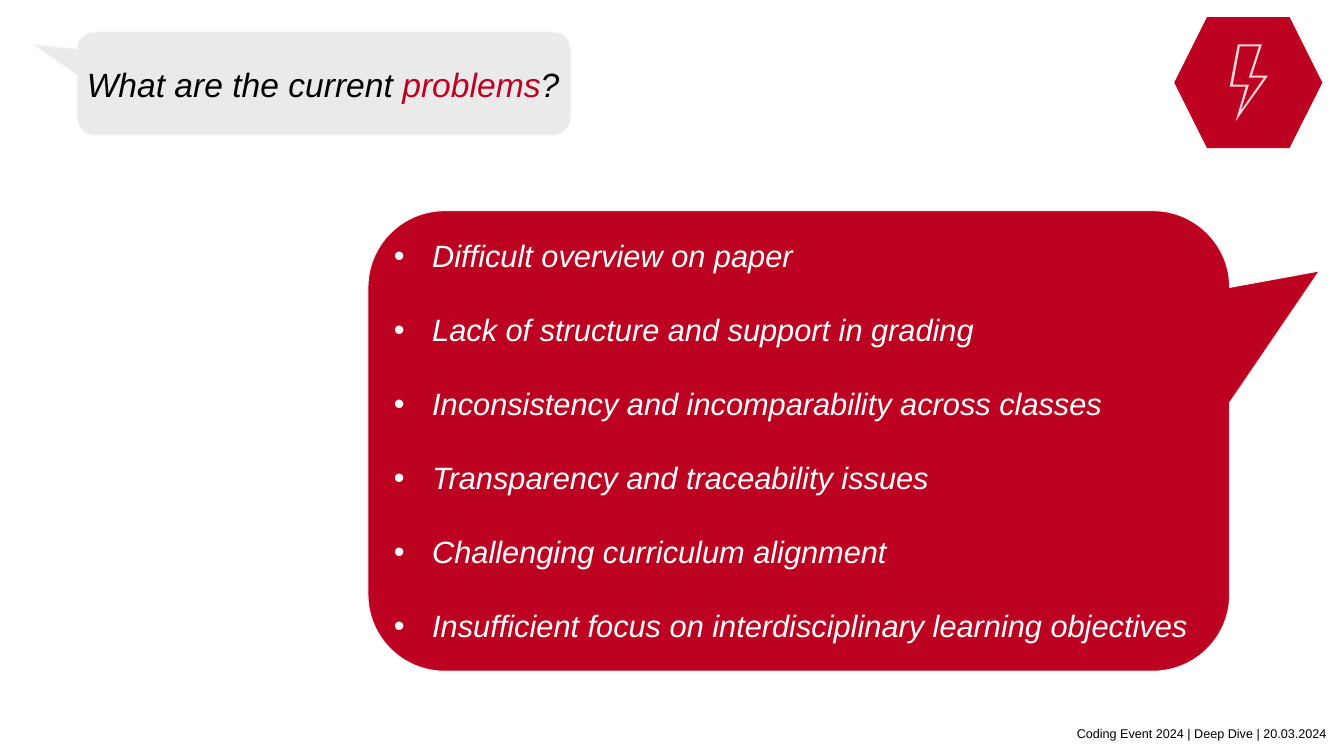
from pptx import Presentation
from pptx.dml.color import RGBColor
from pptx.enum.shapes import MSO_SHAPE
from pptx.enum.text import MSO_ANCHOR, MSO_AUTO_SIZE, PP_ALIGN
from pptx.oxml.ns import qn
from pptx.util import Pt
from lxml.etree import SubElement

RED, GREY, EDGE, PINK = "BD0221", "EAEAEA", "F2F2F2", "FED8DC"
BLACK, WHITE = "000000", "FFFFFF"

PROBLEMS = [
    "Difficult overview on paper",
    "Lack of structure and support in grading",
    "Inconsistency and incomparability across classes",
    "Transparency and traceability issues",
    "Challenging curriculum alignment",
    "Insufficient focus on interdisciplinary learning objectives",
]
BOLT_OUTER = [(882.7, 86.4), (905.8, 54), (894.2, 54), (901.4, 31.7),
              (884.2, 31.7), (878.4, 61.9), (889.9, 61.9)]
BOLT_INNER = [(880.6, 60.5), (885.6, 33.1), (899.3, 33.1), (892.1, 55.4),
              (902.9, 55.4), (886.3, 79.2), (892.1, 60.5)]


def set_all(target, values):
    for name, value in values.items():
        setattr(target, name, value)


def color(hex_value):
    return RGBColor.from_string(hex_value)


def paint(shape, fill, line=None):
    shape.shadow.inherit = False
    shape.fill.solid()
    shape.fill.fore_color.rgb = color(fill)
    if line:
        shape.line.color.rgb = color(line)
        shape.line.width = Pt(0.75)
    else:
        shape.line.fill.background()


def add_callout(page, frame, tail, fill):
    callout = page.shapes.add_shape(
        MSO_SHAPE.ROUNDED_RECTANGULAR_CALLOUT, *map(Pt, frame))
    callout.adjustments[0], callout.adjustments[1] = tail
    paint(callout, fill, EDGE)


def format_frame(box, frame, anchor):
    set_all(box, dict(zip(("left", "top", "width", "height"), map(Pt, frame))))
    set_all(box.text_frame, {
        "margin_left": 0, "margin_right": 0, "margin_top": 0,
        "margin_bottom": 0, "word_wrap": True,
        "auto_size": MSO_AUTO_SIZE.NONE, "vertical_anchor": anchor})


def add_span(para, text, size, hex_value, italic=True):
    span = para.add_run()
    span.text = text
    set_all(span.font, {"name": "Arial", "size": Pt(size), "italic": italic})
    span.font.color.rgb = color(hex_value)


def fill_title(title):
    format_frame(title, (62, 23, 342, 74.5), MSO_ANCHOR.MIDDLE)
    para = title.text_frame.paragraphs[0]
    para.alignment = PP_ALIGN.LEFT
    for text, hex_value in (("What are the current ", BLACK),
                            ("problems", RED), ("?", BLACK)):
        add_span(para, text, 24, hex_value)


def fill_list(body):
    format_frame(body, (281.3, 169.4, 580, 300), MSO_ANCHOR.TOP)
    for index, text in enumerate(PROBLEMS):
        frame = body.text_frame
        para = frame.add_paragraph() if index else frame.paragraphs[0]
        properties = para._p.get_or_add_pPr()
        properties.set("marL", str(Pt(27.4)))
        properties.set("indent", str(Pt(-27.4)))
        SubElement(properties, qn("a:buFont")).set("typeface", "Arial")
        SubElement(properties, qn("a:buChar")).set("char", "•")
        set_all(para, {"space_before": Pt(26.45 if index else 0),
                       "space_after": Pt(0), "line_spacing": 1.0})
        add_span(para, text, 22, WHITE)


def add_badge(page):
    badge = page.shapes.add_group_shape()
    hexagon = badge.shapes.add_shape(
        MSO_SHAPE.HEXAGON, Pt(838.8), Pt(12.2), Pt(105.8), Pt(93.6))
    paint(hexagon, RED)
    outer, inner = ([(Pt(x), Pt(y)) for x, y in points]
                    for points in (BOLT_OUTER, BOLT_INNER))
    builder = badge.shapes.build_freeform(*outer[0])
    builder.add_line_segments(outer[1:], close=True)
    builder.move_to(*inner[0])
    builder.add_line_segments(inner[1:], close=True)
    paint(builder.convert_to_shape(), PINK)


def add_footer(page, text):
    frame = (599, 509, 348.5, 20.2)
    box = page.shapes.add_textbox(*map(Pt, frame))
    format_frame(box, frame, MSO_ANCHOR.BOTTOM)
    para = box.text_frame.paragraphs[0]
    para.alignment = PP_ALIGN.RIGHT
    add_span(para, text, 9, BLACK, italic=False)


def main():
    deck = Presentation()
    set_all(deck, {"slide_width": Pt(960), "slide_height": Pt(540)})
    page = deck.slides.add_slide(deck.slide_layouts[1])
    title, body = page.placeholders

    # Icon and speech bubbles
    add_badge(page)
    add_callout(page, (262.8, 150.5, 615.6, 329), (0.604, -0.369), RED)
    add_callout(page, (55.4, 23, 352, 73.4), (-0.587, -0.376), GREY)

    # Title and list, raised above the bubbles
    for placeholder in (title, body):
        page.shapes._spTree.append(placeholder._element)
    fill_title(title)
    fill_list(body)

    # Footer
    add_footer(page, "Coding Event 2024 | Deep Dive | 20.03.2024")
    deck.save("out.pptx")


if __name__ == "__main__":
    main()
